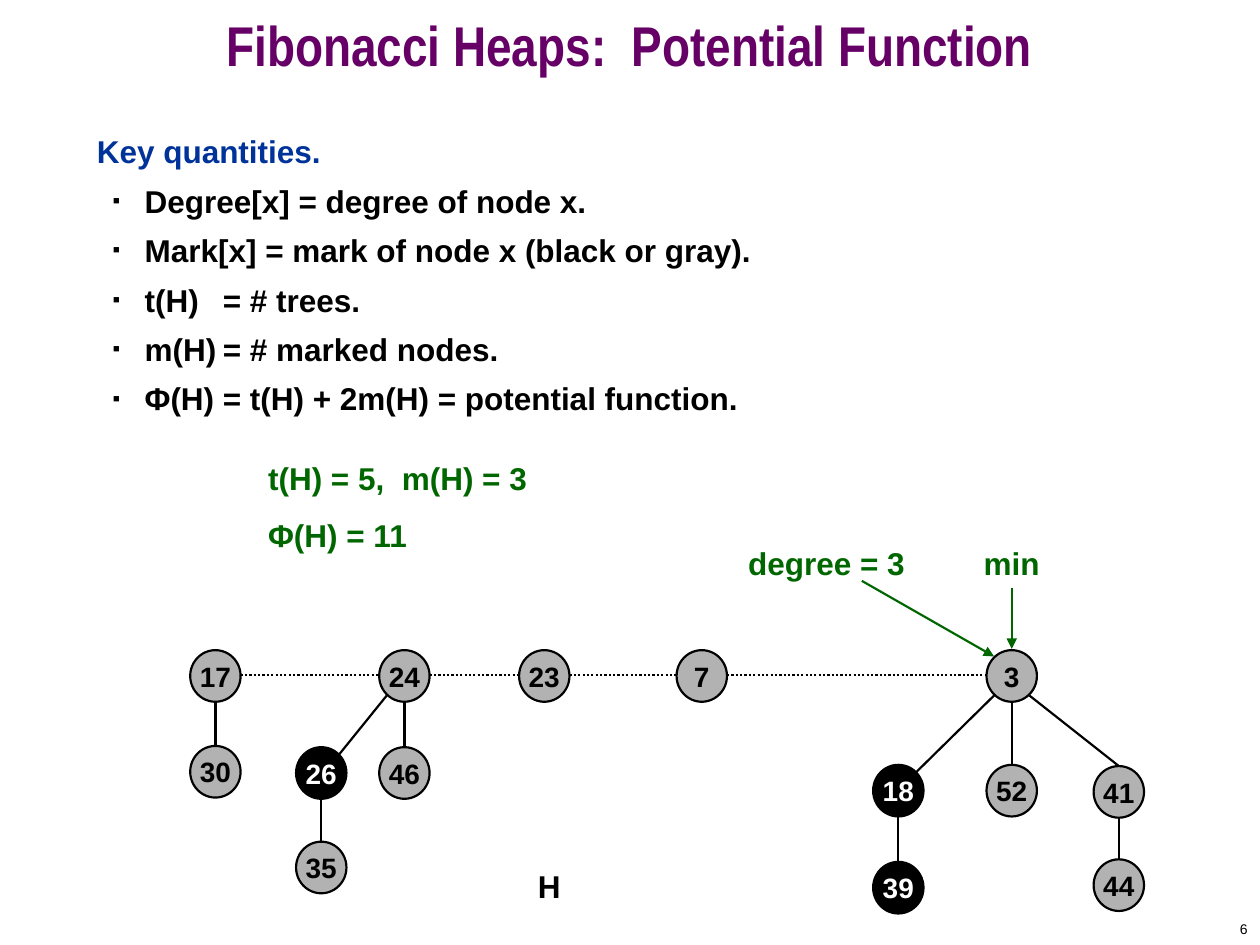
from dataclasses import dataclass

import pptx
import pptx.dml.color
import pptx.enum.dml
import pptx.enum.shapes
import pptx.enum.text
import pptx.oxml
import pptx.oxml.ns
import pptx.util
from lxml import etree

PX = 9144  # EMU per px, 100 px to the inch
NODE_WIDTH, NODE_HEIGHT = 40, 41
DIAGONAL = 14  # offset of an ellipse's 45-degree point from its centre

RGB = pptx.dml.color.RGBColor
BLACK = RGB(0x00, 0x00, 0x00)
MARKED = RGB(0x01, 0x00, 0x00)
WHITE = RGB(0xFF, 0xFF, 0xFF)
GRAY = RGB(0xB2, 0xB2, 0xB2)
GREEN = RGB(0x00, 0x66, 0x00)
BLUE = RGB(0x00, 0x33, 0x99)
PURPLE = RGB(0x66, 0x00, 0x66)

ALIGN = pptx.enum.text.PP_ALIGN
ANCHOR = pptx.enum.text.MSO_ANCHOR


@dataclass(frozen=True)
class Node:
    key: int
    left: int
    top: int
    marked: bool = False

    @property
    def x(self) -> int:
        return self.left + NODE_WIDTH // 2

    @property
    def y(self) -> int:
        return self.top + NODE_HEIGHT // 2

    @property
    def bottom(self) -> int:
        return self.top + NODE_HEIGHT


@dataclass(frozen=True)
class Label:
    text: str
    left: int
    top: int
    width: int
    height: int
    size: int = 18
    color: RGB = BLACK
    bold: bool = True
    font: str = "Arial"
    align: ALIGN = ALIGN.LEFT
    anchor: ANCHOR = ANCHOR.TOP
    before: float = 0
    spacing: float = 1.0


ROOTS = [
    Node(17, 151, 516), Node(24, 301, 516), Node(23, 412, 516),
    Node(7, 537, 516), Node(3, 783, 516),
]
CHILDREN = [
    Node(30, 151, 592), Node(26, 235, 593, True), Node(46, 301, 593),
    Node(35, 235, 668), Node(18, 693, 607, True), Node(52, 783, 607),
    Node(41, 868, 608), Node(39, 693, 684, True), Node(44, 868, 682),
]
STRAIGHT_EDGES = [(17, 30), (24, 46), (26, 35), (3, 52), (18, 39), (41, 44)]
LEFT_EDGES = [(24, 26), (3, 18)]

LABELS = [
    Label("6", 792, 725, 208, 25, size=8, bold=False, align=ALIGN.RIGHT,
          anchor=ANCHOR.MIDDLE),
    Label("Fibonacci Heaps:  Potential Function", 0, 0, 1000, 83, size=32,
          color=PURPLE, font="Arial Narrow", align=ALIGN.CENTER,
          anchor=ANCHOR.MIDDLE, spacing=0.7),
    Label("H", 417, 683, 42, 40, before=11.2),
    Label("t(H) = 5,  m(H) = 3\nΦ(H) = 11", 203, 359, 250, 86, color=GREEN, before=11.2),
    Label("min", 763, 426, 80, 41, color=GREEN, align=ALIGN.CENTER, anchor=ANCHOR.MIDDLE),
    Label("degree = 3", 576, 426, 160, 41, color=GREEN, align=ALIGN.CENTER,
          anchor=ANCHOR.MIDDLE),
]
KEY_QUANTITIES = Label("Key quantities.", 67, 100, 858, 592, color=BLUE, before=4.5)
DEFINITIONS = [
    "Degree[x] = degree of node x.",
    "Mark[x] = mark of node x (black or gray).",
    "t(H)\t= # trees.",
    "m(H)\t= # marked nodes.",
    "Φ(H)\t= t(H) + 2m(H) = potential function.",
]


def style_font(font, size: int, color: RGB, bold: bool = True, name: str = "Arial") -> None:
    font.name, font.size, font.bold = name, pptx.util.Pt(size), bold
    font.color.rgb = color


def add_label(page, label: Label):
    box = page.shapes.add_textbox(
        *(PX * n for n in (label.left, label.top, label.width, label.height)))
    frame = box.text_frame
    frame.word_wrap, frame.vertical_anchor = True, label.anchor
    frame.text = label.text
    for para in frame.paragraphs:
        para.alignment, para.line_spacing = label.align, label.spacing
        para.space_before = pptx.util.Pt(label.before)
        style_font(para.font, label.size, label.color, label.bold, label.font)
    return box


def add_bullet(frame, text: str) -> None:
    para = frame.add_paragraph()
    para.text, para.level = text, 1
    para.line_spacing, para.space_before = 1.1, pptx.util.Pt(4.5)
    style_font(para.font, 18, BLACK)
    properties = para._p.get_or_add_pPr()
    properties.set("marL", str(38 * PX))
    properties.set("indent", str(-25 * PX))
    # Bullet and tab stop go between the spacing and the font properties
    marks = pptx.oxml.parse_xml(
        f'<a:pPr {pptx.oxml.ns.nsdecls("a")}>'
        '<a:buClr><a:srgbClr val="000000"/></a:buClr><a:buSzPct val="35000"/>'
        '<a:buFont typeface="Arial"/><a:buChar char="■"/>'
        f'<a:tabLst><a:tab pos="{100 * PX}" algn="l"/></a:tabLst></a:pPr>')
    default_font = properties.find(pptx.oxml.ns.qn("a:defRPr"))
    for mark in list(marks):
        default_font.addprevious(mark)


def add_line(page, x1: int, y1: int, x2: int, y2: int, color: RGB = BLACK,
             dotted: bool = False, arrow: bool = False) -> None:
    line = page.shapes.add_connector(
        pptx.enum.shapes.MSO_CONNECTOR.STRAIGHT, *(PX * n for n in (x1, y1, x2, y2)))
    line.line.color.rgb, line.line.width = color, pptx.util.Pt(1.25)
    if dotted:
        line.line.dash_style = pptx.enum.dml.MSO_LINE.ROUND_DOT
    if arrow:
        tail = etree.SubElement(line.line._get_or_add_ln(), pptx.oxml.ns.qn("a:tailEnd"))
        tail.set("type", "triangle")
    etree.SubElement(line._element.spPr, pptx.oxml.ns.qn("a:effectLst"))


def add_node(page, node: Node) -> None:
    circle = page.shapes.add_shape(
        pptx.enum.shapes.MSO_SHAPE.OVAL,
        *(PX * n for n in (node.left, node.top, NODE_WIDTH, NODE_HEIGHT)))
    circle.shadow.inherit = False
    circle.fill.solid()
    circle.fill.fore_color.rgb = MARKED if node.marked else GRAY
    circle.line.color.rgb, circle.line.width = BLACK, pptx.util.Pt(1.25)
    frame = circle.text_frame
    frame.word_wrap, frame.vertical_anchor = False, ANCHOR.MIDDLE
    para = frame.paragraphs[0]
    para.text, para.alignment = str(node.key), ALIGN.CENTER
    style_font(para.font, 16, WHITE if node.marked else BLACK)


def main() -> None:
    deck = pptx.Presentation()
    deck.slide_width, deck.slide_height = 1000 * PX, 750 * PX
    page = deck.slides.add_slide(deck.slide_layouts[6])

    # Title, page number, results and captions
    for label in LABELS:
        add_label(page, label)

    # Key quantities
    body = add_label(page, KEY_QUANTITIES)
    for definition in DEFINITIONS:
        add_bullet(body.text_frame, definition)

    # Root list
    for first, second in zip(ROOTS, ROOTS[1:]):
        add_line(page, first.left + NODE_WIDTH, first.y, second.left, second.y, dotted=True)

    # Tree edges
    nodes = {node.key: node for node in ROOTS + CHILDREN}
    for upper, lower in STRAIGHT_EDGES:
        parent, child = nodes[upper], nodes[lower]
        add_line(page, parent.x, parent.bottom, child.x, child.top)
    for upper, lower in LEFT_EDGES:
        parent, child = nodes[upper], nodes[lower]
        add_line(page, parent.x - DIAGONAL, parent.y + DIAGONAL + 2,
                 child.x + DIAGONAL, child.y - DIAGONAL)
    minimum, right_child = nodes[3], nodes[41]
    add_line(page, minimum.x + DIAGONAL, minimum.y + DIAGONAL + 2,
             right_child.x, right_child.top)

    # Heap nodes
    for node in nodes.values():
        add_node(page, node)

    # Arrows to the minimum
    add_line(page, minimum.x, 467, minimum.x, minimum.top - 1, GREEN, arrow=True)
    add_line(page, 684, 461, minimum.x - DIAGONAL, 521, GREEN, arrow=True)

    deck.save("out.pptx")


if __name__ == "__main__":
    main()
